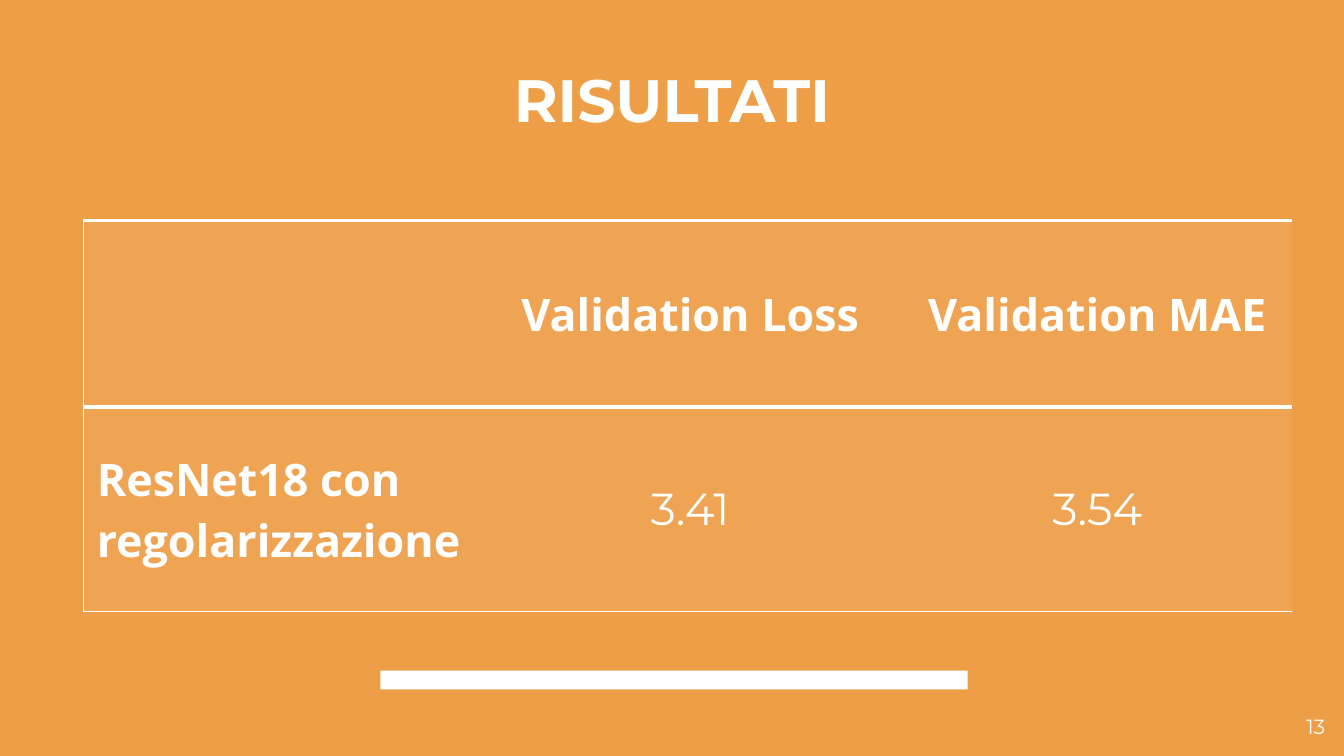
"""Build the results slide with its validation table."""
from dataclasses import dataclass

from lxml.etree import SubElement
from pptx import Presentation
from pptx.dml.color import RGBColor
from pptx.enum.shapes import MSO_SHAPE
from pptx.enum.text import MSO_ANCHOR, PP_ALIGN
from pptx.oxml.ns import qn
from pptx.util import Inches, Pt


@dataclass(frozen=True)
class Theme:
    back: str = "ED9E46"
    white: str = "FFFFFF"
    alpha: int = 7000
    head: str = "Montserrat"
    body: str = "Open Sans"
    title: int = 32
    cell: int = 24
    page: int = 11
    thick: float = 2.25
    thin: float = 0.75


theme = Theme()
white = RGBColor.from_string(theme.white)


def write(frame, text, size, face, bold, align, anchor):
    frame.word_wrap = True
    frame.vertical_anchor = anchor
    frame.margin_left = frame.margin_right = Inches(0.1)
    frame.margin_top = frame.margin_bottom = Inches(0.1)
    para = frame.paragraphs[0]
    para.text = text
    para.alignment = align
    font = para.font
    font.size, font.name, font.bold = Pt(size), face, bold
    font.color.rgb = white


def border(cell, side, width):
    props = cell._tc.get_or_add_tcPr()
    line = SubElement(props, qn(f"a:ln{side}"), w=str(Pt(width)))
    if width:
        fill = SubElement(line, qn("a:solidFill"))
        SubElement(fill, qn("a:srgbClr"), val=theme.white)
    else:
        SubElement(line, qn("a:noFill"))


deck = Presentation()
deck.slide_width = Inches(10)
deck.slide_height = deck.slide_width * 9 // 16
slide = deck.slides.add_slide(deck.slide_layouts[5])
slide.background.fill.solid()
slide.background.fill.fore_color.rgb = RGBColor.from_string(theme.back)

bar = slide.shapes.add_shape(
    MSO_SHAPE.RECTANGLE, Inches(2.83), Inches(4.99), Inches(4.37), Inches(0.14))
bar.shadow.inherit = False
bar.fill.solid()
bar.fill.fore_color.rgb = white
bar.line.fill.background()

title = slide.shapes.title
title.left, title.top = Inches(0.5), Inches(0.47)
title.width, title.height = Inches(9), Inches(0.63)
write(title.text_frame, "RISULTATI", theme.title, theme.head, True,
      PP_ALIGN.CENTER, MSO_ANCHOR.BOTTOM)

cols = [2.93, 3.17, 2.89]
rows = [1.39, 1.52]
texts = [["", "Validation Loss", "Validation MAE"],
         ["ResNet18 con regolarizzazione", "3.41", "3.54"]]
rules = [theme.thick, theme.thick, theme.thin]
table = slide.shapes.add_table(
    len(rows), len(cols), Inches(0.62), Inches(1.64),
    Inches(sum(cols)), Inches(sum(rows))).table
table.first_row = table.horz_banding = False
for col, width in zip(table.columns, cols):
    col.width = Inches(width)
for r, line in enumerate(texts):
    table.rows[r].height = Inches(rows[r])
    for c, text in enumerate(line):
        cell = table.cell(r, c)
        label = r == 0 or c == 0
        cell.text = text
        para = cell.text_frame.paragraphs[0]
        para.alignment = PP_ALIGN.CENTER if c else PP_ALIGN.LEFT
        para.font.size, para.font.bold = Pt(theme.cell), label
        para.font.name = theme.body if label else theme.head
        para.font.color.rgb = white
        cell.vertical_anchor = MSO_ANCHOR.MIDDLE
        cell.margin_left = cell.margin_right = Inches(0.1)
        cell.margin_top = cell.margin_bottom = Inches(0.07)
        sides = {"L": 0 if c else theme.thin, "R": 0,
                 "T": rules[r], "B": rules[r + 1]}
        for side, width in sides.items():
            border(cell, side, width)
        cell.fill.solid()
        cell.fill.fore_color.rgb = white
        tint = cell._tc.tcPr.find(qn("a:solidFill")).find(qn("a:srgbClr"))
        SubElement(tint, qn("a:alpha"), val=str(theme.alpha))

page = slide.shapes.add_textbox(
    Inches(9.36), Inches(5.22), Inches(0.6), Inches(0.32))
write(page.text_frame, "13", theme.page, theme.head, False,
      PP_ALIGN.RIGHT, MSO_ANCHOR.TOP)

deck.save("out.pptx")
